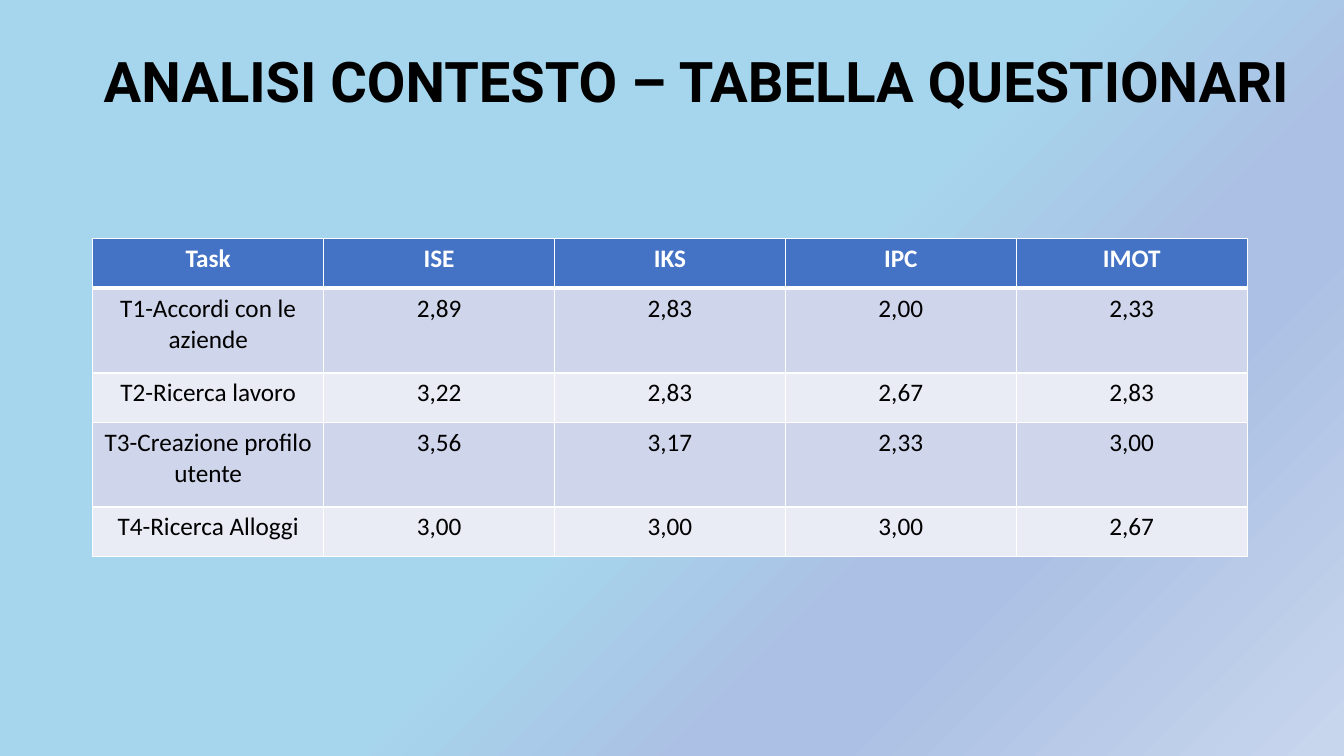
import lxml.etree
import pptx
import pptx.dml.color
import pptx.enum.text
import pptx.oxml.ns
import pptx.util

RGB = pptx.dml.color.RGBColor
IN, PT = pptx.util.Inches, pptx.util.Pt
ALIGN, ANCHOR = pptx.enum.text.PP_ALIGN, pptx.enum.text.MSO_ANCHOR
QN = pptx.oxml.ns.qn

TITLE = "ANALISI CONTESTO – TABELLA QUESTIONARI"
ROWS = [
    ("Task", "ISE", "IKS", "IPC", "IMOT"),
    ("T1-Accordi con le aziende", "2,89", "2,83", "2,00", "2,33"),
    ("T2-Ricerca lavoro", "3,22", "2,83", "2,67", "2,83"),
    ("T3-Creazione profilo utente", "3,56", "3,17", "2,33", "3,00"),
    ("T4-Ricerca Alloggi", "3,00", "3,00", "3,00", "2,67"),
]

BLACK, WHITE = RGB(0, 0, 0), RGB(255, 255, 255)
HEAD, ODD, EVEN = RGB(0x44, 0x72, 0xC4), RGB(0xCF, 0xD5, 0xEA), RGB(0xE9, 0xEB, 0xF5)
SKY, BLUE, PALE = RGB(0xA6, 0xD6, 0xED), RGB(0xAB, 0xC0, 0xE4), RGB(0xC7, 0xD5, 0xED)
STOPS = [(52, SKY), (69, BLUE), (75, BLUE), (99, PALE)]

WIDE, HIGH = 13.33, 7.5
LEFT, TOP = 0.92, 2.37
COL, LOW, TALL = 2.29, 0.49, 0.84

FONTS = {
    "title": {"name": "Roboto", "size": PT(40), "bold": True},
    "head": {"name": "Calibri", "size": PT(18), "bold": True},
    "body": {"name": "Calibri", "size": PT(18), "bold": False},
}


def write(frame, text, style, color):
    par = frame.paragraphs[0]
    par.alignment = ALIGN.CENTER
    run = par.add_run()
    run.text = text
    for key, value in FONTS[style].items():
        setattr(run.font, key, value)
    run.font.color.rgb = color
    return par


def add_color(parent, color):
    lxml.etree.SubElement(parent, QN("a:srgbClr"), val=str(color))


def paint_back(slide):
    """Fill the background with the diagonal gradient."""
    fill = slide.background.fill
    fill.gradient()
    fill.gradient_angle = 315
    stops = slide.element.find(".//" + QN("a:gsLst"))
    for old in list(stops):
        stops.remove(old)
    for share, color in STOPS:
        stop = lxml.etree.SubElement(stops, QN("a:gs"), pos=str(share * 1000))
        add_color(stop, color)


def add_edges(cell, row):
    """Draw white cell borders, thicker under the header."""
    props = cell._tc.get_or_add_tcPr()
    widths = {"L": 1, "R": 1, "T": 3 if row == 1 else 1, "B": 3 if row == 0 else 1}
    for side, width in widths.items():
        line = lxml.etree.SubElement(props, QN("a:ln" + side), w=str(PT(width)))
        add_color(lxml.etree.SubElement(line, QN("a:solidFill")), WHITE)


def add_title(slide):
    box = slide.shapes.add_textbox(IN(LEFT), 0, IN(11.97), IN(1.67))
    frame = box.text_frame
    frame.word_wrap = True
    frame.vertical_anchor = ANCHOR.MIDDLE
    write(frame, TITLE, "title", BLACK).line_spacing = 0.9


def add_grid(slide):
    count = len(ROWS[0])
    highs = [TALL if row % 2 else LOW for row in range(len(ROWS))]
    table = slide.shapes.add_table(
        len(ROWS), count, IN(LEFT), IN(TOP), IN(COL * count), IN(sum(highs))
    ).table
    for col in table.columns:
        col.width = IN(COL)
    for row, texts in enumerate(ROWS):
        table.rows[row].height = IN(highs[row])
        back = HEAD if row == 0 else ODD if row % 2 else EVEN
        style, color = ("body", BLACK) if row else ("head", WHITE)
        for col, text in enumerate(texts):
            cell = table.cell(row, col)
            add_edges(cell, row)
            cell.fill.solid()
            cell.fill.fore_color.rgb = back
            write(cell.text_frame, text, style, color)


def main():
    deck = pptx.Presentation()
    deck.slide_width, deck.slide_height = IN(WIDE), IN(HIGH)
    slide = deck.slides.add_slide(deck.slide_layouts[6])
    paint_back(slide)
    add_title(slide)
    add_grid(slide)
    deck.save("out.pptx")


if __name__ == "__main__":
    main()
